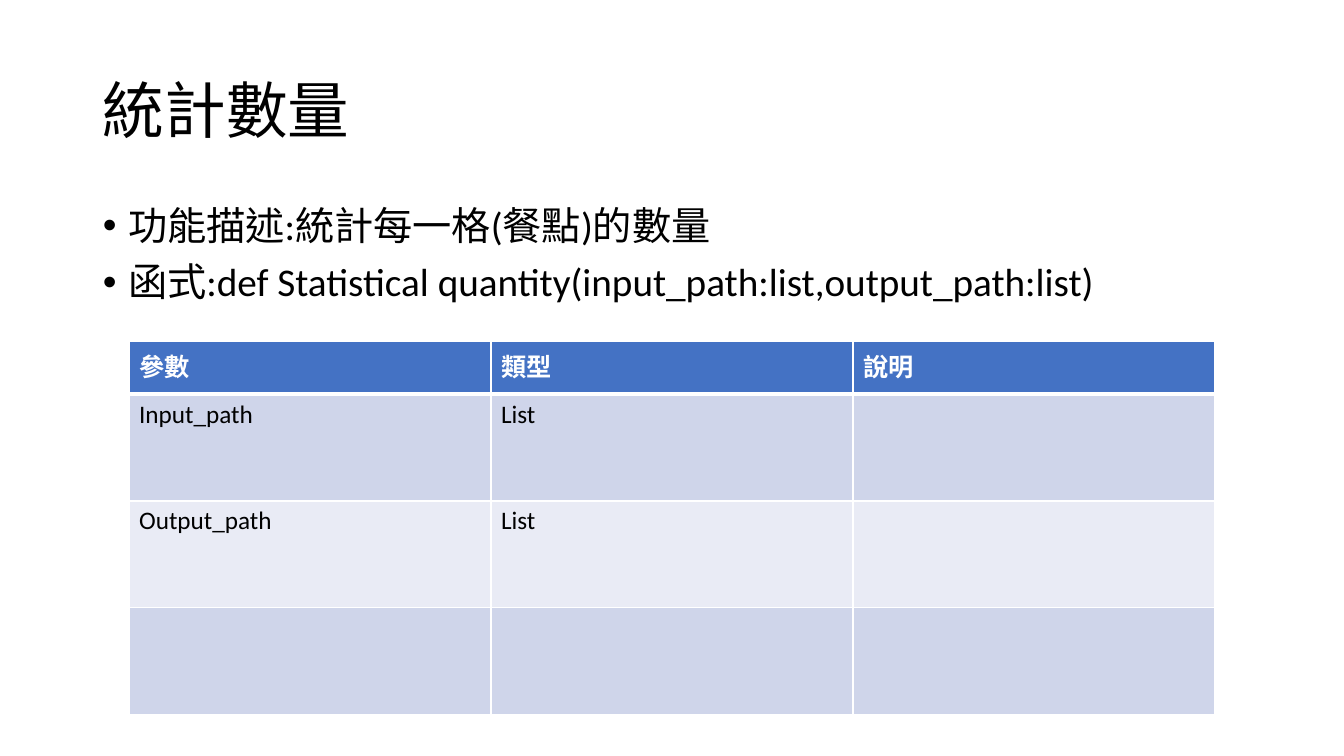
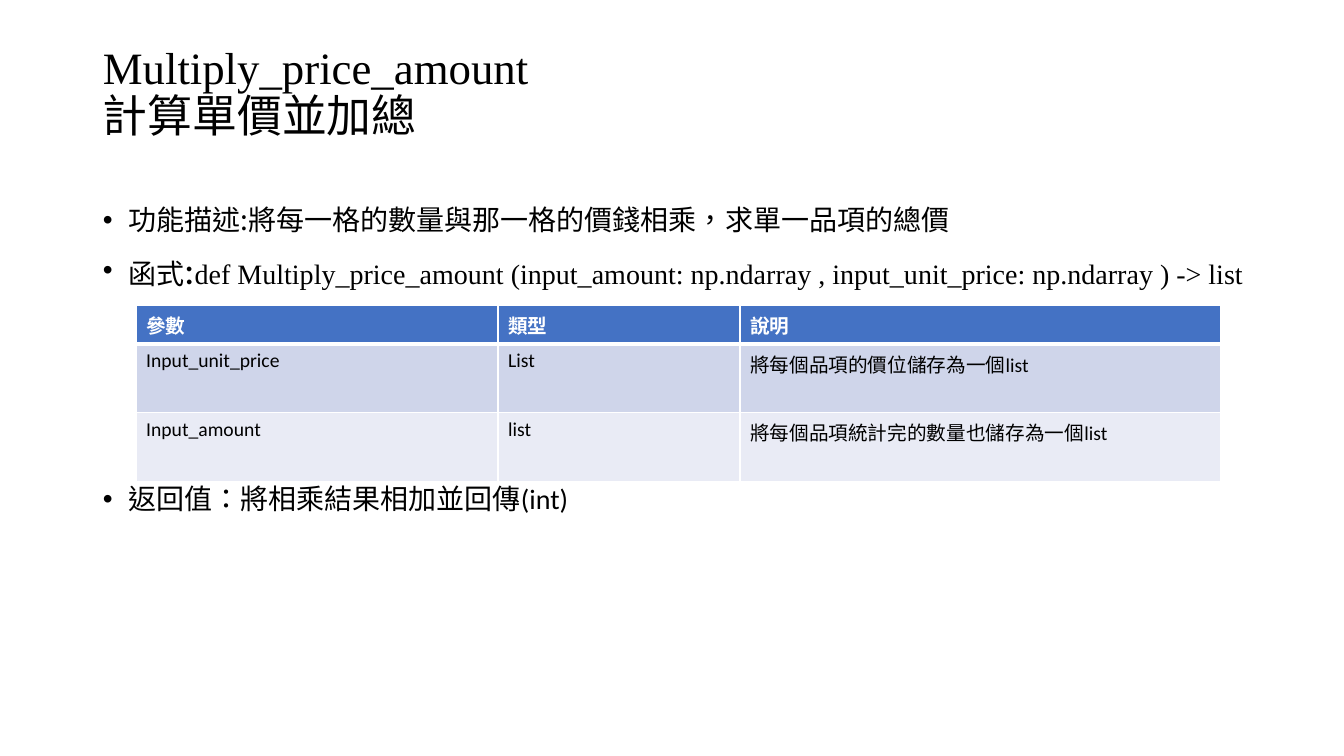
"""Build two slides that document functions and their parameters."""
from dataclasses import dataclass

from lxml.etree import SubElement
from pptx import Presentation
from pptx.dml.color import RGBColor
from pptx.enum.lang import MSO_LANGUAGE_ID as Lang
from pptx.enum.text import MSO_ANCHOR as Anchor, MSO_AUTO_SIZE as AutoSize, PP_ALIGN as Align
from pptx.oxml.ns import qn
from pptx.util import Emu, Pt

PX = 9144
BLACK = RGBColor(0x00, 0x00, 0x00)
WHITE = RGBColor(0xFF, 0xFF, 0xFF)
HEADER_BLUE = RGBColor(0x44, 0x72, 0xC4)
BANDS = (RGBColor(0xCF, 0xD5, 0xEA), RGBColor(0xE9, 0xEB, 0xF5))
SANS, SERIF, CJK = "Calibri", "Times New Roman", "Noto Sans CJK SC"
HEADINGS = ("參數", "類型", "說明")
INDENT = 25


@dataclass(frozen=True)
class Span:
    text: str
    size: int
    font: str = SANS
    color: RGBColor = BLACK
    bold: bool = False


@dataclass(frozen=True)
class Para:
    spans: tuple[Span, ...]
    before: int = 0


@dataclass(frozen=True)
class Box:
    left: int
    top: int
    width: int
    height: int


@dataclass(frozen=True)
class ParamTable:
    left: int
    top: int
    cols: tuple[int, ...]
    header_height: int
    row_height: int
    size: int
    rows: tuple[tuple[str, ...], ...]


@dataclass(frozen=True)
class Page:
    title_box: Box
    title: tuple[Para, ...]
    body_box: Box
    body: tuple[Para, ...]
    table: ParamTable


PAGES = (
    Page(
        Box(92, 40, 1150, 145),
        (Para((Span("統計數量", 44),)),),
        Box(92, 200, 1150, 476),
        (
            Para((Span("功能描述:統計每一格(餐點)的數量", 28),), 10),
            Para((Span("函式:def Statistical quantity(input_path:list,output_path:list)", 28),), 10),
        ),
        ParamTable(128, 339, (359, 359, 359), 52, 106, 18, (
            ("Input_path", "List", ""),
            ("Output_path", "List", ""),
            ("", "", ""),
        )),
    ),
    Page(
        Box(92, 40, 1150, 107),
        (
            Para((Span("Multiply_price_amount", 32, SERIF),)),
            Para((Span("計算單價並加總", 32, CJK),)),
        ),
        Box(92, 200, 1202, 476),
        (
            Para((Span("功能描述:將每一格的數量與那一格的價錢相乘，求單一品項的總價", 20, CJK),), 10),
            Para((
                Span("函式", 20, CJK),
                Span(":", 28),
                Span("def Multiply_price_amount (input_amount: np.ndarray , "
                     "input_unit_price: np.ndarray ) -> list", 20, SERIF),
            ), 10),
            Para((Span("返回值：", 20, CJK), Span("將相乘結果相加並回傳(int)", 20)), 137),
        ),
        ParamTable(135, 303, (359, 240, 477), 34, 68, 14, (
            ("Input_unit_price", "List", "將每個品項的價位儲存為一個list"),
            ("Input_amount", "list", "將每個品項統計完的數量也儲存為一個list"),
        )),
    ),
)


def px(n: int) -> Emu:
    """Turn px into EMU."""
    return Emu(n * PX)


def add_span(p, span: Span) -> None:
    """Add one formatted run to a paragraph."""
    r = p.add_run()
    r.text = span.text
    formats = {
        "name": span.font,
        "size": Pt(span.size),
        "bold": span.bold,
        "language_id": Lang.TAIWAN if hasattr(Lang, "TAIWAN") else Lang.TRADITIONAL_CHINESE,
    }
    for name, value in formats.items():
        setattr(r.font, name, value)
    r.font.color.rgb = span.color
    SubElement(r._r.get_or_add_rPr(), qn("a:ea"), typeface=CJK)


def fill_placeholder(sp, box: Box, paras: tuple[Para, ...], anchor: Anchor, bullets: bool) -> None:
    """Move a placeholder and write its paragraphs."""
    for name in ("left", "top", "width", "height"):
        setattr(sp, name, px(getattr(box, name)))
    tf = sp.text_frame
    for name, value in {"word_wrap": True, "auto_size": AutoSize.NONE, "vertical_anchor": anchor}.items():
        setattr(tf, name, value)
    for i, para in enumerate(paras):
        p = tf.add_paragraph() if i else tf.paragraphs[0]
        layout = {"alignment": Align.LEFT, "line_spacing": 0.9, "space_before": Pt(para.before)}
        for name, value in layout.items():
            setattr(p, name, value)
        if bullets:
            pPr = p._p.get_or_add_pPr()
            pPr.set("marL", str(px(INDENT)))
            pPr.set("indent", str(-px(INDENT)))
            SubElement(pPr, qn("a:buFont"), typeface="Arial")
            SubElement(pPr, qn("a:buChar"), char="•")
        for span in para.spans:
            add_span(p, span)


def set_borders(cell, top: int, bottom: int) -> None:
    """Give a cell white borders, with top and bottom widths in points."""
    tcPr = cell._tc.get_or_add_tcPr()
    for side, width in {"L": 1, "R": 1, "T": top, "B": bottom}.items():
        ln = SubElement(tcPr, qn(f"a:ln{side}"), w=str(Pt(width)))
        SubElement(SubElement(ln, qn("a:solidFill")), qn("a:srgbClr"), val=str(WHITE))


def add_param_table(s, spec: ParamTable) -> None:
    """Draw a parameter table with a header and banded rows."""
    rows = (HEADINGS, *spec.rows)
    heights = [spec.header_height] + [spec.row_height] * len(spec.rows)
    table = s.shapes.add_table(
        len(rows), len(spec.cols), px(spec.left), px(spec.top), px(sum(spec.cols)), px(sum(heights))
    ).table
    for column, width in zip(table.columns, spec.cols):
        column.width = px(width)
    for i, (texts, height) in enumerate(zip(rows, heights)):
        table.rows[i].height = px(height)
        header = i == 0
        for j, text in enumerate(texts):
            cell = table.cell(i, j)
            set_borders(cell, 3 if i == 1 else 1, 3 if header else 1)
            cell.fill.solid()
            cell.fill.fore_color.rgb = HEADER_BLUE if header else BANDS[(i - 1) % 2]
            if text:
                color = WHITE if header else BLACK
                add_span(cell.text_frame.paragraphs[0], Span(text, spec.size, SANS, color, header))


def add_page(prs, page: Page) -> None:
    """Add one slide with a title, a list and a table."""
    s = prs.slides.add_slide(prs.slide_layouts[1])
    fill_placeholder(s.shapes.title, page.title_box, page.title, Anchor.MIDDLE, False)
    fill_placeholder(s.placeholders[1], page.body_box, page.body, Anchor.TOP, True)
    add_param_table(s, page.table)


def main() -> None:
    """Build and save the presentation."""
    prs = Presentation()
    prs.slide_width, prs.slide_height = px(1333), px(750)
    for page in PAGES:
        add_page(prs, page)
    prs.save("out.pptx")


if __name__ == "__main__":
    main()
